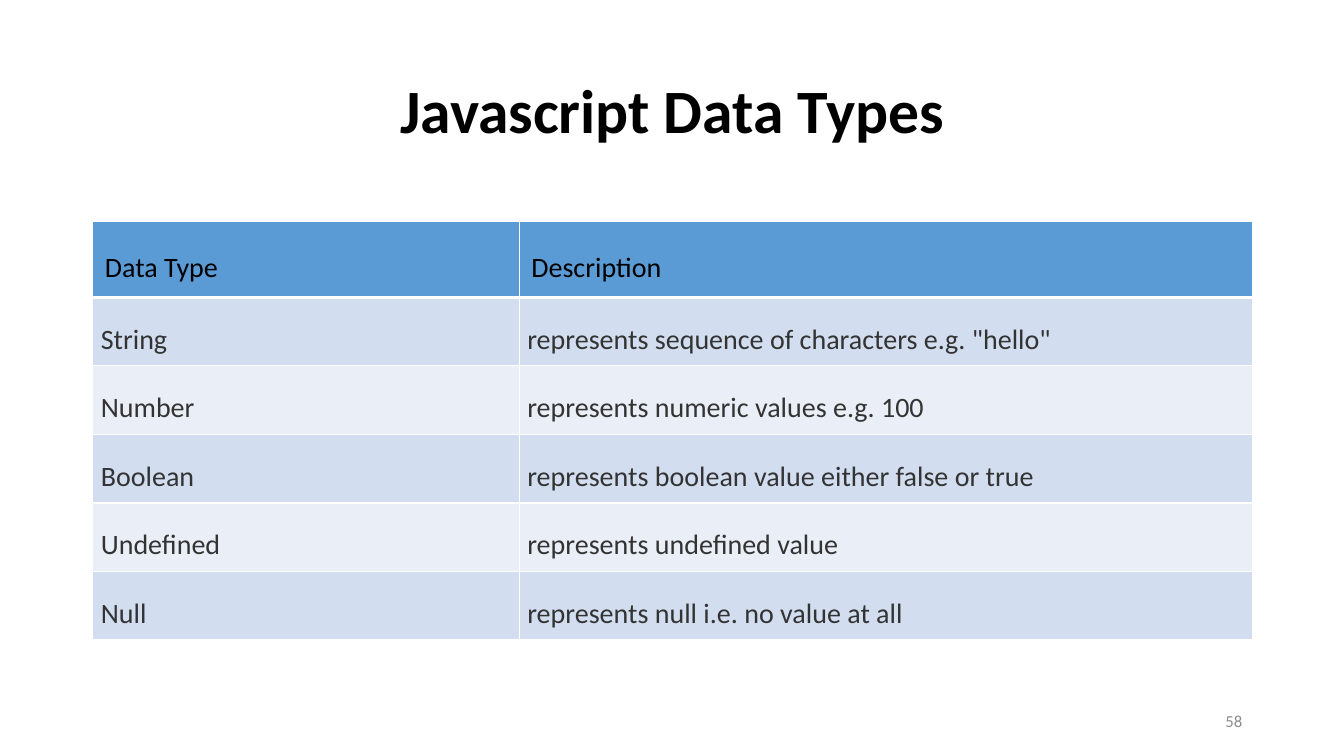
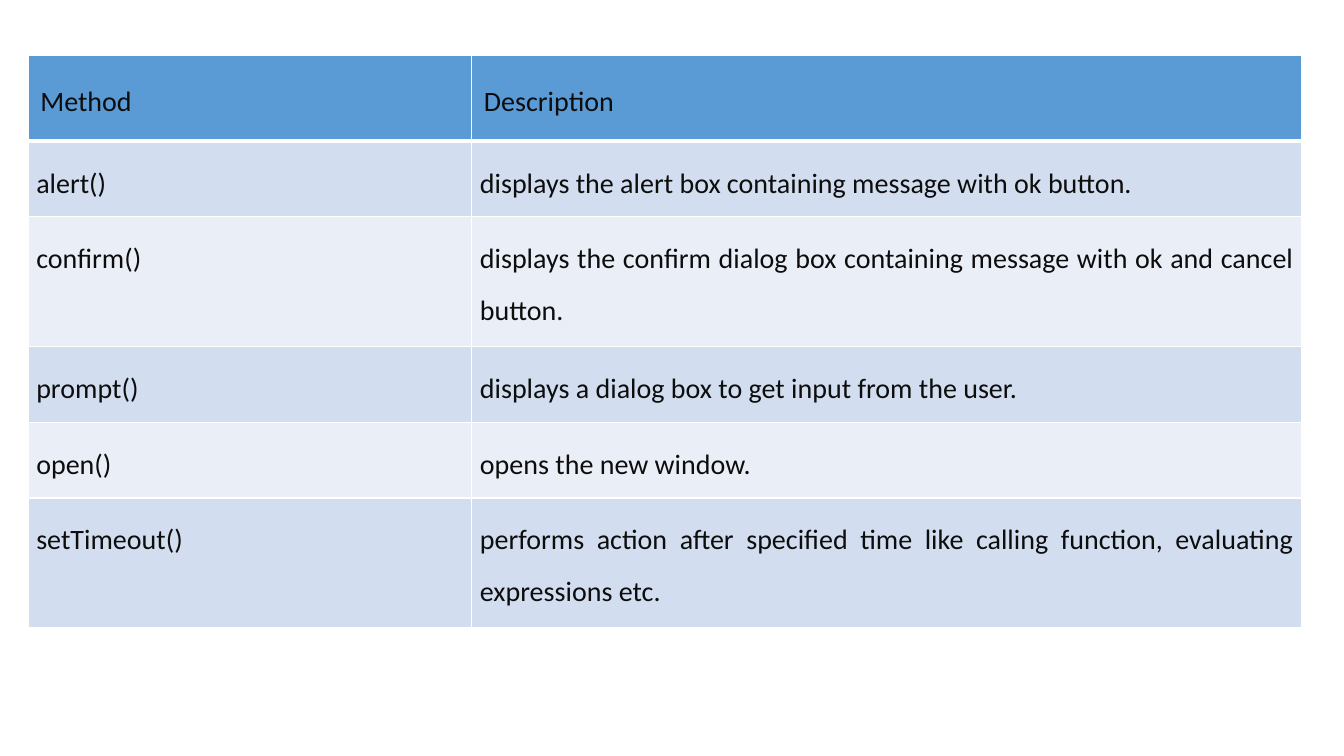
from dataclasses import dataclass
from lxml.etree import SubElement
from pptx import Presentation
from pptx.dml.color import RGBColor
from pptx.enum.text import MSO_ANCHOR, PP_ALIGN
from pptx.oxml.ns import qn
from pptx.util import Pt

PX = 9144  # EMU per px, 100 px to the inch


@dataclass(frozen=True)
class Theme:
    font: str = "Calibri"
    black: str = "000000"
    ink: str = "0D0D0D"
    slate: str = "333333"
    muted: str = "8C8C8C"
    header_fill: str = "5B9BD5"
    bands: tuple = ("D2DEEF", "EAEFF7")
    rule: str = "FFFFFF"
    title_size: int = 44
    table_size: int = 20
    number_size: int = 12
    header_inset: int = 12
    body_inset: int = 8
    thin: int = 1
    thick: int = 3


THEME = Theme()
TITLE_BOX = (92, 40, 1150, 145)
NUMBER_BOX = (942, 695, 300, 40)


def px(*lengths):
    return [length * PX for length in lengths]


def apply(target, values):
    for name, value in values.items():
        setattr(target, name, value)


def write(frame, text, color, size, bold=False, **para_format):
    """Put one formatted paragraph into a text frame."""
    para = frame.paragraphs[0]
    apply(para, para_format)
    span = para.add_run()
    span.text = text
    apply(span.font, {"name": THEME.font, "size": Pt(size), "bold": bold})
    span.font.color.rgb = RGBColor.from_string(color)


def add_text(page, box, text, color, size, **text_format):
    frame = page.shapes.add_textbox(*px(*box)).text_frame
    apply(frame, {"word_wrap": True, "vertical_anchor": MSO_ANCHOR.MIDDLE})
    write(frame, text, color, size, **text_format)


def add_title(page, text):
    add_text(page, TITLE_BOX, text, THEME.black, THEME.title_size,
             bold=True, alignment=PP_ALIGN.CENTER, line_spacing=0.9)


def add_page_number(page, number):
    add_text(page, NUMBER_BOX, str(number), THEME.muted, THEME.number_size,
             alignment=PP_ALIGN.RIGHT)


def rule_cell(cell, bottom):
    """Draw the four cell borders; these must precede the fill."""
    properties = cell._tc.get_or_add_tcPr()
    widths = {"L": THEME.thin, "R": THEME.thin, "T": THEME.thin, "B": bottom}
    for side, width in widths.items():
        line = SubElement(properties, qn(f"a:ln{side}"), w=str(Pt(width)))
        fill = SubElement(line, qn("a:solidFill"))
        SubElement(fill, qn("a:srgbClr"), val=THEME.rule)


def style_cell(cell, fill, inset, bottom):
    sides = ("left", "right", "top", "bottom")
    apply(cell, {f"margin_{side}": inset * PX for side in sides})
    rule_cell(cell, bottom)
    cell.fill.solid()
    cell.fill.fore_color.rgb = RGBColor.from_string(fill)


def add_banded_table(page, left, top, widths, heights, rows, header_color, body_color):
    """Place a header row and banded body rows from the top left corner."""
    box = px(left, top, sum(widths), sum(heights))
    table = page.shapes.add_table(len(rows), len(widths), *box).table
    apply(table, {"first_row": False, "horz_banding": False})
    for column, width in zip(table.columns, widths):
        column.width = width * PX
    for row, height in zip(table.rows, heights):
        row.height = height * PX
    for index, texts in enumerate(rows):
        if index == 0:
            look = (THEME.header_fill, THEME.header_inset, THEME.thick)
            color, alignment = header_color, PP_ALIGN.LEFT
        else:
            look = (THEME.bands[(index - 1) % 2], THEME.body_inset, THEME.thin)
            color, alignment = body_color, PP_ALIGN.JUSTIFY
        for cell, text in zip(table.rows[index].cells, texts):
            style_cell(cell, *look)
            write(cell.text_frame, text, color, THEME.table_size,
                  alignment=alignment, line_spacing=1.5)


def data_types_slide(page):
    add_title(page, "Javascript Data Types")
    rows = [
        ("Data Type", "Description"),
        ("String", 'represents sequence of characters e.g. "hello"'),
        ("Number", "represents numeric values e.g. 100"),
        ("Boolean", "represents boolean value either false or true"),
        ("Undefined", "represents undefined value"),
        ("Null", "represents null i.e. no value at all"),
    ]
    add_banded_table(page, 92, 220, (423, 727), [75] + [68] * 5, rows,
                     THEME.black, THEME.slate)
    add_page_number(page, 58)


def window_methods_slide(page):
    rows = [
        ("Method", "Description"),
        ("alert()", "displays the alert box containing message with ok button."),
        ("confirm()", "displays the confirm dialog box containing message "
                      "with ok and cancel button."),
        ("prompt()", "displays a dialog box to get input from the user."),
        ("open()", "opens the new window."),
        ("setTimeout()", "performs action after specified time like calling "
                         "function, evaluating expressions etc."),
    ]
    one_line, two_lines = 75, 129
    heights = (85, one_line, two_lines, one_line, one_line, two_lines)
    add_banded_table(page, 28, 55, (440, 823), heights, rows, THEME.ink, THEME.ink)


def main():
    deck = Presentation()
    apply(deck, {"slide_width": 1333 * PX, "slide_height": 750 * PX})
    blank = deck.slide_layouts[6]
    for build in (data_types_slide, window_methods_slide):
        build(deck.slides.add_slide(blank))
    deck.save("out.pptx")


if __name__ == "__main__":
    main()
